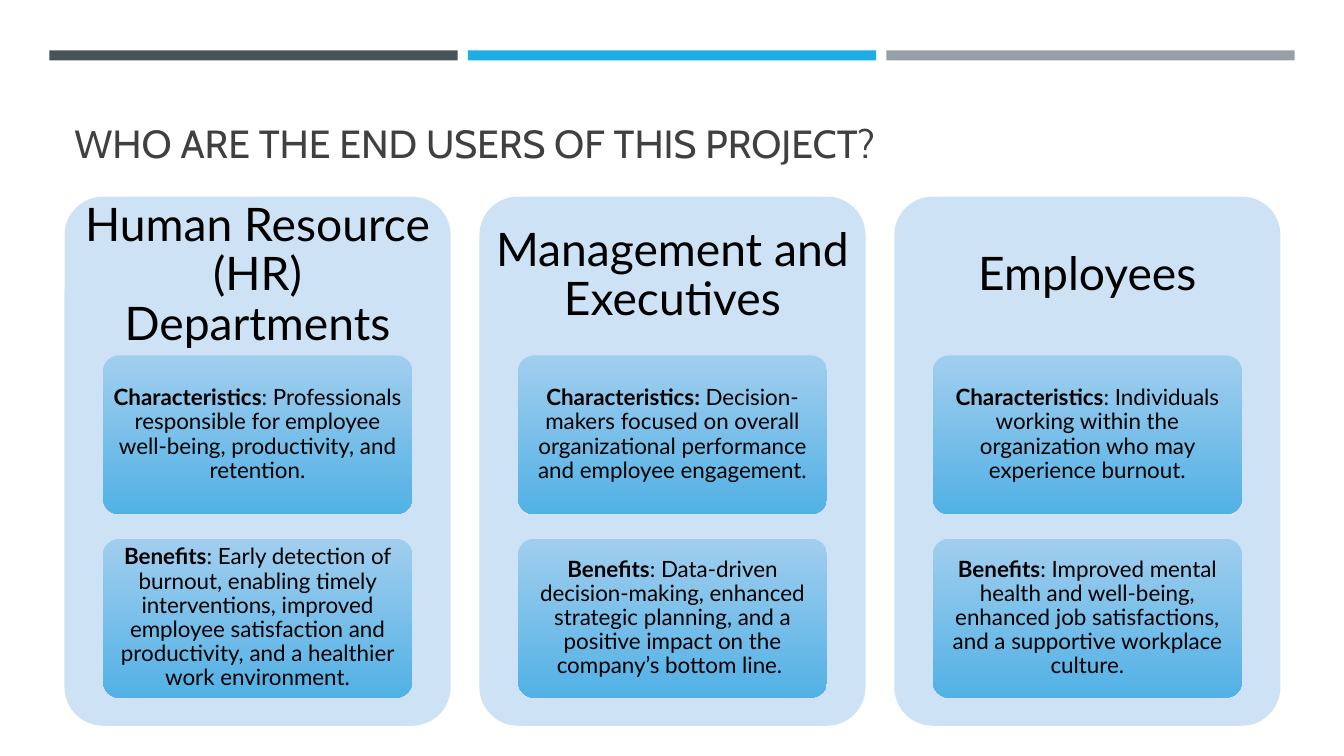
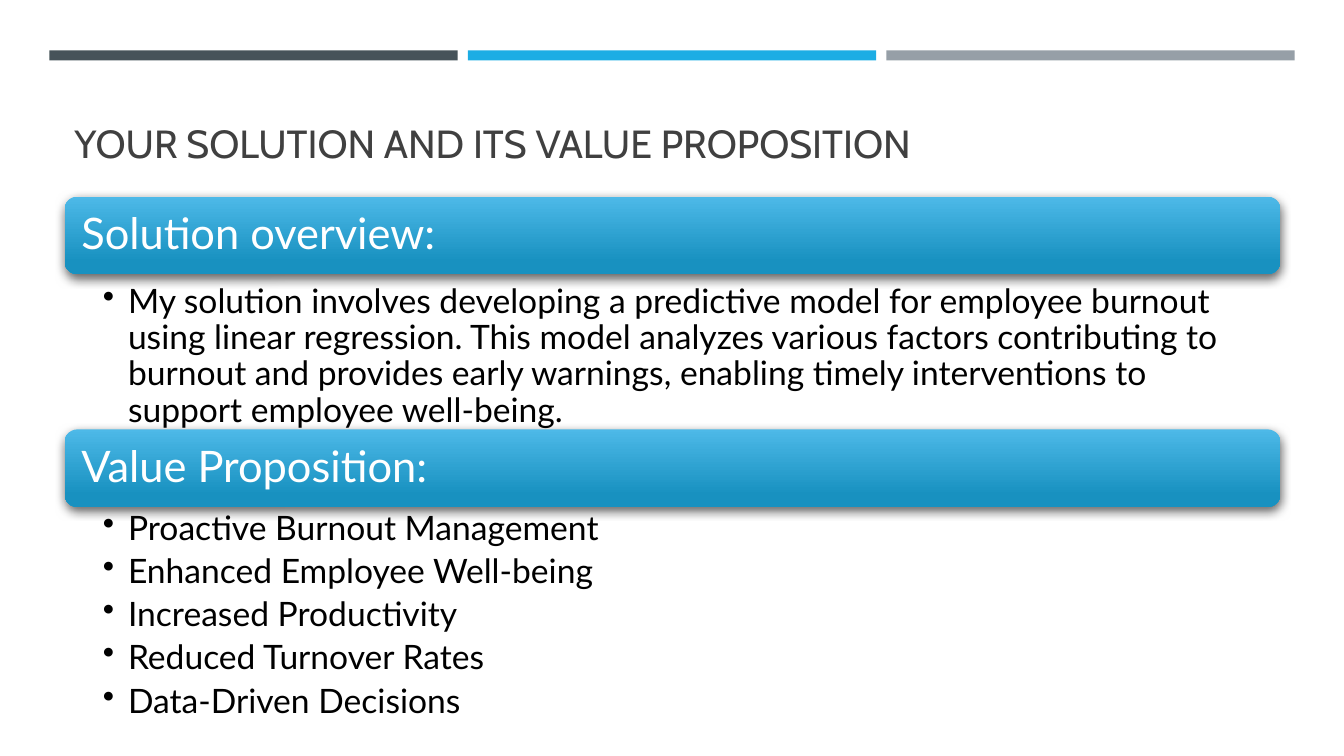
from lxml import etree
from pptx import Presentation
from pptx.dml.color import RGBColor
from pptx.enum.shapes import MSO_SHAPE as Shape
from pptx.enum.text import MSO_ANCHOR as Anchor, PP_ALIGN as Align
from pptx.oxml.ns import qn
from pptx.util import Inches, Pt

# Content
USERS = [
    ("Human Resource (HR) Departments", [
        ("Characteristics", ": Professionals responsible for employee well-being, "
         "productivity, and retention."),
        ("Benefits", ": Early detection of burnout, enabling timely interventions, "
         "improved employee satisfaction and productivity, and a healthier work "
         "environment."),
    ]),
    ("Management and Executives", [
        ("Characteristics: ", "Decision-makers focused on overall organizational "
         "performance and employee engagement."),
        ("Benefits", ": Data-driven decision-making, enhanced strategic planning, "
         "and a positive impact on the company’s bottom line. "),
    ]),
    ("Employees", [
        ("Characteristics", ": Individuals working within the organization who may "
         "experience burnout."),
        ("Benefits", ": Improved mental health and well-being, enhanced job "
         "satisfactions, and a supportive workplace culture."),
    ]),
]
# heading, top of its bar, bullets, top and height of the bullets
PARTS = [
    ("Solution overview:", 1.95, [
        "My solution involves developing a predictive model for employee burnout "
        "using linear regression. This model analyzes various factors contributing "
        "to burnout and provides early warnings, enabling timely interventions to "
        "support employee well-being.",
    ], 2.78, 1.47),
    ("Value Proposition:", 4.26, [
        "Proactive Burnout Management",
        "Enhanced Employee Well-being",
        "Increased Productivity",
        "Reduced Turnover Rates",
        "Data-Driven Decisions",
    ], 5.03, 2.11),
]

# Shared style
SLATE = RGBColor(0x46, 0x53, 0x59)
BLUE = RGBColor(0x1C, 0xAD, 0xE4)
GREY = RGBColor(0x96, 0x9F, 0xA7)
INK = RGBColor(0x40, 0x40, 0x40)
BLACK = RGBColor(0, 0, 0)
WHITE = RGBColor(0xFF, 0xFF, 0xFF)
PALE = RGBColor(0xCD, 0xE3, 0xF5)
BOX = [(0, RGBColor(0xA1, 0xCE, 0xEE)), (1, RGBColor(0x52, 0xB1, 0xE5))]
BAR = [(0, RGBColor(0x4D, 0xB9, 0xE8)), (0.84, RGBColor(0x18, 0x91, 0xC0))]
HEAD, BODY = "Cabin", "Lato"
LEFT, TOP, WIDTH = 0.64, 1.95, 12.06


def add_box(slide, kind, at, fill, round_by=None):
    """Plain shape; fill is one colour or a list of gradient stops."""
    box = slide.shapes.add_shape(kind, *map(Inches, at))
    box.shadow.inherit = False
    box.line.fill.background()
    if round_by is not None:
        box.adjustments[0] = round_by
    if isinstance(fill, list):
        box.fill.gradient()
        box.fill.gradient_angle = 270
        for stop, (place, color) in zip(box.fill.gradient_stops, fill):
            stop.position = place
            stop.color.rgb = color
    else:
        box.fill.solid()
        box.fill.fore_color.rgb = fill
    return box


def add_text(slide, at):
    return slide.shapes.add_textbox(*map(Inches, at))


def write(shape, paras, size, color, font=BODY, align=Align.LEFT,
          anchor=Anchor.MIDDLE, pad=(0.1, 0.05, 0.1, 0.05), line=0.9, after=0):
    """Each paragraph is a list of (text, bold) runs."""
    frame = shape.text_frame
    frame.word_wrap = True
    frame.vertical_anchor = anchor
    (frame.margin_left, frame.margin_top,
     frame.margin_right, frame.margin_bottom) = map(Inches, pad)
    for i, runs in enumerate(paras):
        para = frame.add_paragraph() if i else frame.paragraphs[0]
        para.alignment = align
        para.line_spacing = line
        para.space_after = Pt(after)
        para.font.name, para.font.size = font, Pt(size)
        para.font.color.rgb = color
        for text, bold in runs:
            run = para.add_run()
            run.text = text
            if bold:
                run.font.bold = True
    return frame


def add_bullets(frame, indent=0.25):
    for para in frame.paragraphs:
        props = para._p.get_or_add_pPr()
        props.set("marL", str(Inches(indent)))
        props.set("indent", str(-Inches(indent)))
        mark = etree.Element(qn("a:buChar"), char="•")
        props.insert_element_before(mark, "a:tabLst", "a:defRPr", "a:extLst")


def add_shadow(shape):
    effects = shape._element.spPr.find(qn("a:effectLst"))
    outer = etree.SubElement(effects, qn("a:outerShdw"), blurRad=str(Pt(7)),
                             dist=str(Pt(3)), dir=str(84 * 60000), rotWithShape="0")
    color = etree.SubElement(outer, qn("a:srgbClr"), val="000000")
    etree.SubElement(color, qn("a:alpha"), val="60000")


def add_slide(deck, title):
    slide = deck.slides.add_slide(deck.slide_layouts[6])
    for i, color in enumerate((SLATE, BLUE, GREY)):
        add_box(slide, Shape.RECTANGLE, (0.49 + i * 4.15, 0.5, 4.05, 0.1), color)
    write(add_text(slide, (LEFT, 0.77, WIDTH, 1.3)), [[(title, False)]],
          28, INK, HEAD, line=1)
    return slide


def build_users(deck):
    slide = add_slide(deck, "WHO ARE THE END USERS OF THIS PROJECT?")
    wide, high = 3.83, 5.25
    step = (WIDTH - wide) / (len(USERS) - 1)
    part = 0.3 * high
    for i, (name, notes) in enumerate(USERS):
        left = LEFT + i * step
        add_box(slide, Shape.ROUNDED_RECTANGLE, (left, TOP, wide, high), PALE, 0.1)
        write(add_text(slide, (left, TOP, wide, part)), [[(name, False)]],
              33, BLACK, align=Align.CENTER, pad=(0.14,) * 4)
        for j, (label, text) in enumerate(notes):
            at = (left + 0.1 * wide, TOP + part + j * 1.82, 0.8 * wide, part)
            box = add_box(slide, Shape.ROUNDED_RECTANGLE, at, BOX, 0.1)
            write(box, [[(label, True), (text, False)]], 16, BLACK,
                  align=Align.CENTER, pad=(0.04, 0.03, 0.04, 0.03))


def build_value(deck):
    slide = add_slide(deck, "YOUR SOLUTION AND ITS VALUE PROPOSITION")
    for name, top, points, low, high in PARTS:
        bar = add_box(slide, Shape.ROUNDED_RECTANGLE, (LEFT, top, WIDTH, 0.77), BAR)
        add_shadow(bar)
        write(bar, [[(name, False)]], 31, WHITE, pad=(0.13,) * 4)
        body = add_text(slide, (LEFT, low, WIDTH, high))
        add_bullets(write(body, [[(text, False)] for text in points], 24, BLACK,
                          anchor=Anchor.TOP, pad=(0.38, 0.04, 0.24, 0.04), after=5))


def main():
    deck = Presentation()
    deck.slide_width, deck.slide_height = Inches(13.33), Inches(7.5)
    build_users(deck)
    build_value(deck)
    deck.save("out.pptx")


if __name__ == "__main__":
    main()
